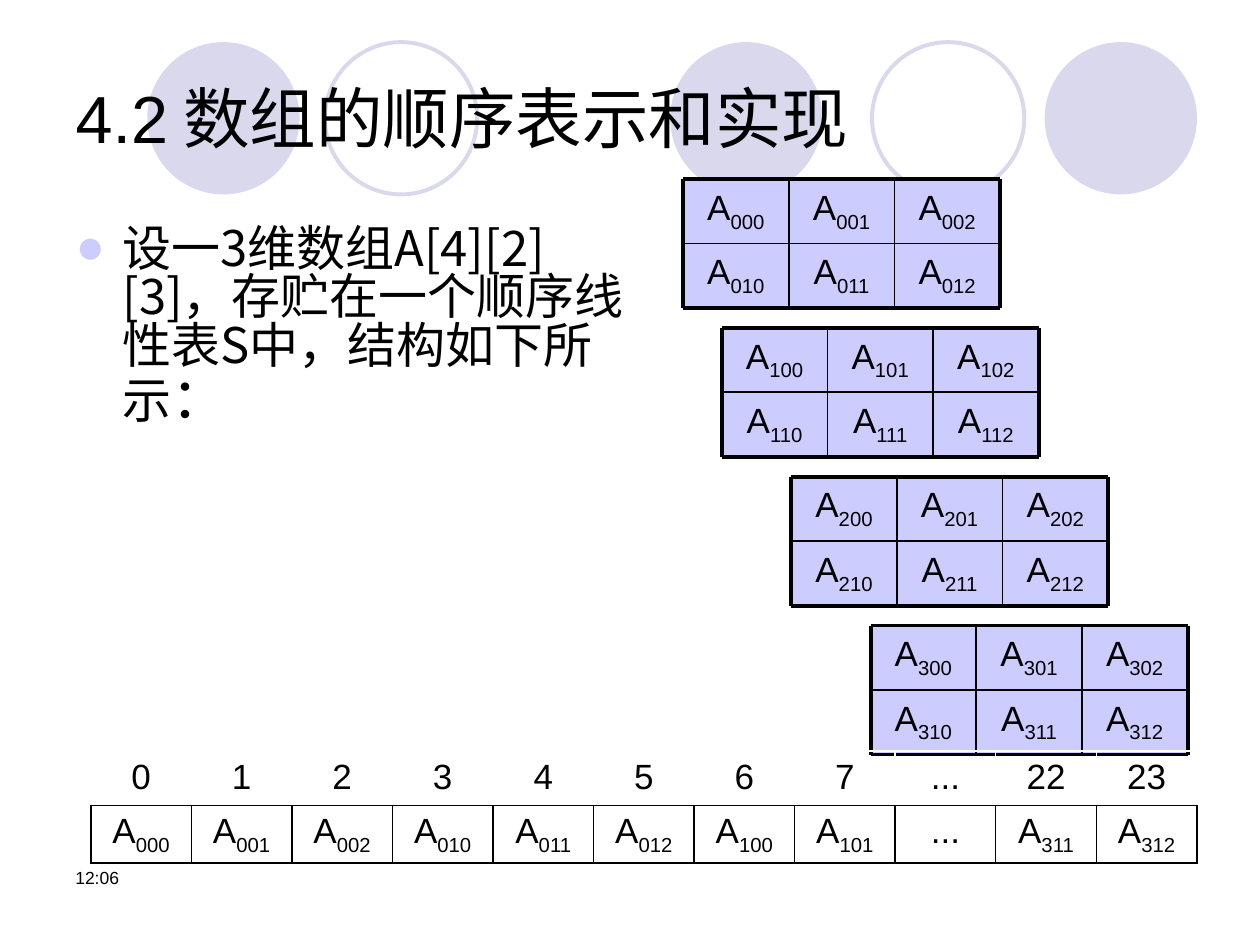
from pptx import Presentation
from pptx import util as u
from pptx.dml.color import RGBColor
from pptx.enum import shapes, text
from pptx.oxml import parse_xml
from pptx.oxml.ns import nsdecls, qn
from lxml import etree

THEME = {
    "ink": RGBColor.from_string("000000"),
    "circle": RGBColor.from_string("D9D8EC"),
    "cell": RGBColor.from_string("CCCCFF"),
    "latin": "Arial", "chinese": "Noto Sans CJK SC",
    "title": 38, "body": 28, "colon": 32, "label": 20, "time": 10,
    "thick": 2.25, "thin": 1,
}


def add_run(paragraph, content, size, font="latin", subscript=False):
    run = paragraph.add_run()
    run.text = content
    formats = {"size": u.Pt(THEME[size]), "name": THEME[font], "bold": False}
    for name, value in formats.items():
        setattr(run.font, name, value)
    run.font.color.rgb = THEME["ink"]
    properties = run.font._element
    etree.SubElement(properties, qn("a:ea")).set("typeface", THEME[font])
    if subscript:
        properties.set("baseline", "-25000")


def add_label(frame, label):
    """Write a centred label; the digits after A are set as a subscript."""
    paragraph = frame.paragraphs[0]
    paragraph.alignment = text.PP_ALIGN.CENTER
    paragraph.space_before = u.Pt(4)
    if label.startswith("A"):
        add_run(paragraph, "A", "label")
        add_run(paragraph, label[1:], "label", subscript=True)
    else:
        add_run(paragraph, label, "label")


presentation = Presentation()
presentation.slide_width, presentation.slide_height = u.Cm(25.4), u.Cm(19.05)
slide = presentation.slides.add_slide(presentation.slide_layouts[1])

# Row of circles behind the title
circles = slide.shapes.add_group_shape()
for left, filled in ((13.51, True), (21.06, True), (2.97, True), (17.58, False), (6.55, False)):
    circle = circles.shapes.add_shape(
        shapes.MSO_SHAPE.OVAL, u.Cm(left), u.Cm(0.85), u.Cm(3.07), u.Cm(3.07))
    circle.shadow.inherit = False
    if filled:
        circle.fill.solid()
        circle.fill.fore_color.rgb = THEME["circle"]
        circle.line.fill.background()
    else:
        circle.fill.background()
        circle.line.color.rgb = THEME["circle"]
        circle.line.width = u.Pt(THEME["thick"])
slide.shapes._spTree.insert(2, circles._element)

# Title and body
title, body = slide.placeholders
boxes = (
    (title, (1.27, 0.76, 22.86, 3.18), text.MSO_ANCHOR.MIDDLE),
    (body, (1.27, 4.45, 11.89, 3.18), text.MSO_ANCHOR.TOP),
)
for shape, box, anchor in boxes:
    for name, value in zip(("left", "top", "width", "height"), box):
        setattr(shape, name, u.Cm(value))
    frame = shape.text_frame
    formats = {"word_wrap": True, "auto_size": text.MSO_AUTO_SIZE.NONE, "vertical_anchor": anchor}
    for name, value in formats.items():
        setattr(frame, name, value)
    frame.paragraphs[0].alignment = text.PP_ALIGN.LEFT

paragraph = title.text_frame.paragraphs[0]
add_run(paragraph, "4.2", "title")
add_run(paragraph, " 数组的顺序表示和实现", "title", "chinese")

paragraph = body.text_frame.paragraphs[0]
paragraph.line_spacing = 0.83
paragraph.space_before = u.Pt(5.6)
properties = paragraph._p.get_or_add_pPr()
properties.set("marL", str(u.Cm(0.95)))
properties.set("indent", str(u.Cm(-0.95)))
color = etree.SubElement(properties, qn("a:buClr"))
etree.SubElement(color, qn("a:srgbClr")).set("val", str(THEME["cell"]))
etree.SubElement(properties, qn("a:buFont")).set("typeface", THEME["latin"])
etree.SubElement(properties, qn("a:buChar")).set("char", "●")
add_run(paragraph, "设一3维数组A[4][2][3]，存贮在一个顺序线性表S中，结构如下所示", "body", "chinese")
add_run(paragraph, "：", "colon", "chinese")

# Four planes of the array, each a grid of 2 rows by 3 columns
ROWS, COLUMNS = 2, 3
CELL_WIDTH, CELL_HEIGHT = 2.13, 1.3
FIRST_TOP, PLANE_PITCH = 3.61, 3
for plane, left in enumerate((13.77, 14.55, 15.95, 17.55)):
    top = FIRST_TOP + plane * PLANE_PITCH
    right, bottom = left + COLUMNS * CELL_WIDTH, top + ROWS * CELL_HEIGHT
    grid = slide.shapes.add_group_shape()
    for row in range(ROWS):
        for column in range(COLUMNS):
            cell = grid.shapes.add_shape(
                shapes.MSO_SHAPE.RECTANGLE,
                u.Cm(left + column * CELL_WIDTH), u.Cm(top + row * CELL_HEIGHT),
                u.Cm(CELL_WIDTH), u.Cm(CELL_HEIGHT))
            cell.shadow.inherit = False
            cell.fill.solid()
            cell.fill.fore_color.rgb = THEME["cell"]
            cell.line.fill.background()
            cell.text_frame.vertical_anchor = text.MSO_ANCHOR.TOP
            add_label(cell.text_frame, f"A{plane}{row}{column}")
    rules = []
    for row in range(ROWS + 1):
        y = top + row * CELL_HEIGHT
        rules.append(((left, y, right, y), row in (0, ROWS)))
    for column in range(COLUMNS + 1):
        x = left + column * CELL_WIDTH
        rules.append(((x, top, x, bottom), column in (0, COLUMNS)))
    for ends, outer in rules:
        line = grid.shapes.add_connector(shapes.MSO_CONNECTOR.STRAIGHT, *map(u.Cm, ends))
        line.line.color.rgb = THEME["ink"]
        line.line.width = u.Pt(THEME["thick" if outer else "thin"])
        etree.SubElement(line._element.spPr, qn("a:effectLst"))

# Sequential list S: positions above stored elements
positions = ["0", "1", "2", "3", "4", "5", "6", "7", "...", "22", "23"]
elements = ["A000", "A001", "A002", "A010", "A011", "A012", "A100", "A101", "...", "A311", "A312"]
table = slide.shapes.add_table(
    2, len(positions), u.Cm(1.83), u.Cm(15.14), u.Cm(22.3), u.Cm(2.2)).table
table.first_row = table.horz_banding = False
for row, labels in enumerate((positions, elements)):
    table.rows[row].height = u.Cm(1.1)
    for column, label in enumerate(labels):
        cell = table.cell(row, column)
        add_label(cell.text_frame, label)
        for side in (("lnB",), ("lnL", "lnR", "lnT", "lnB"))[row]:
            cell._tc.get_or_add_tcPr().append(parse_xml(
                f'<a:{side} {nsdecls("a")} w="{u.Pt(THEME["thin"])}"><a:solidFill>'
                f'<a:srgbClr val="{THEME["ink"]}"/></a:solidFill></a:{side}>'))
        cell.fill.background()

# Time
time_box = slide.shapes.add_textbox(u.Cm(1.27), u.Cm(17.35), u.Cm(5.92), u.Cm(1.27))
time_box.text_frame.word_wrap = True
add_run(time_box.text_frame.paragraphs[0], "12:06", "time")

presentation.save("out.pptx")
